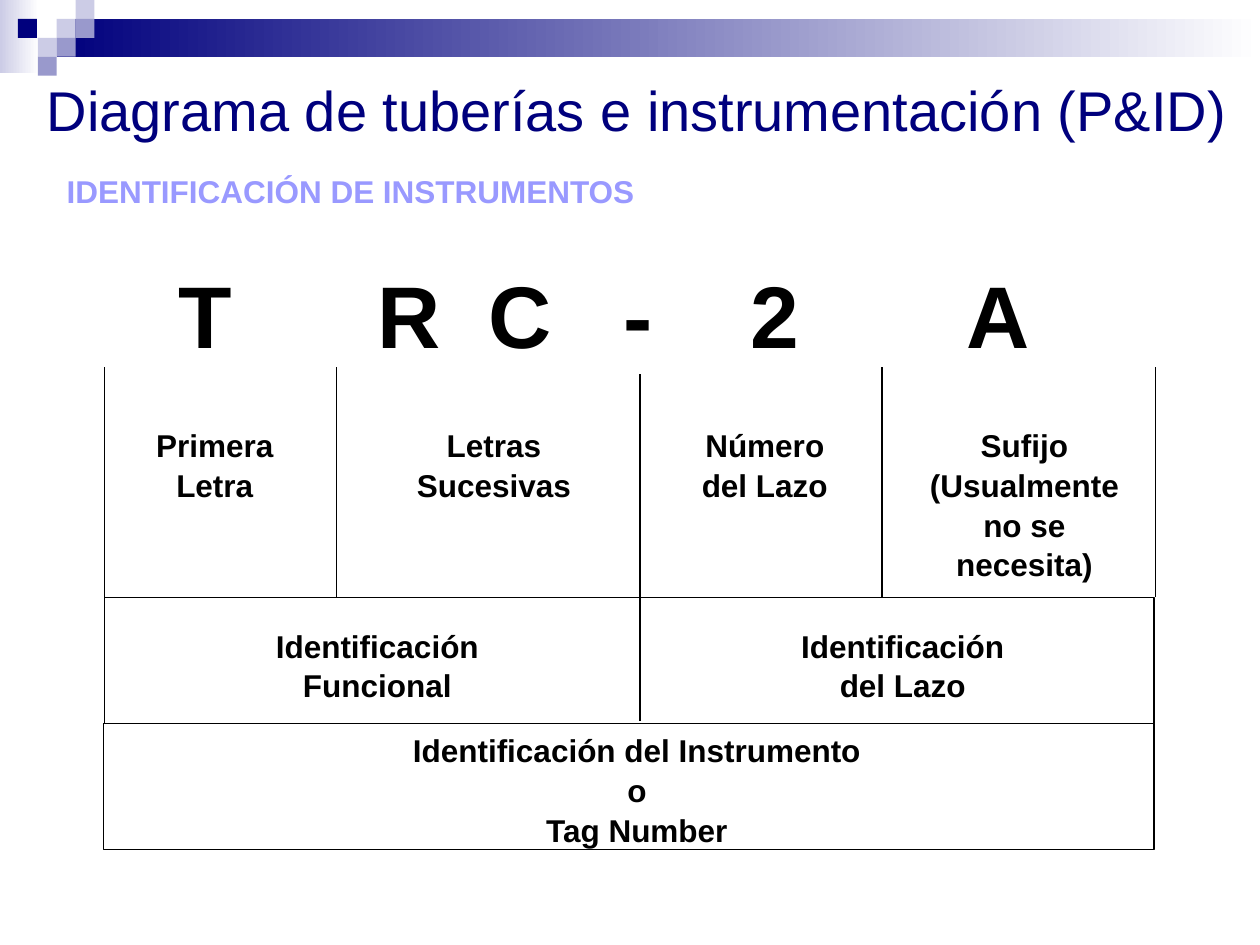
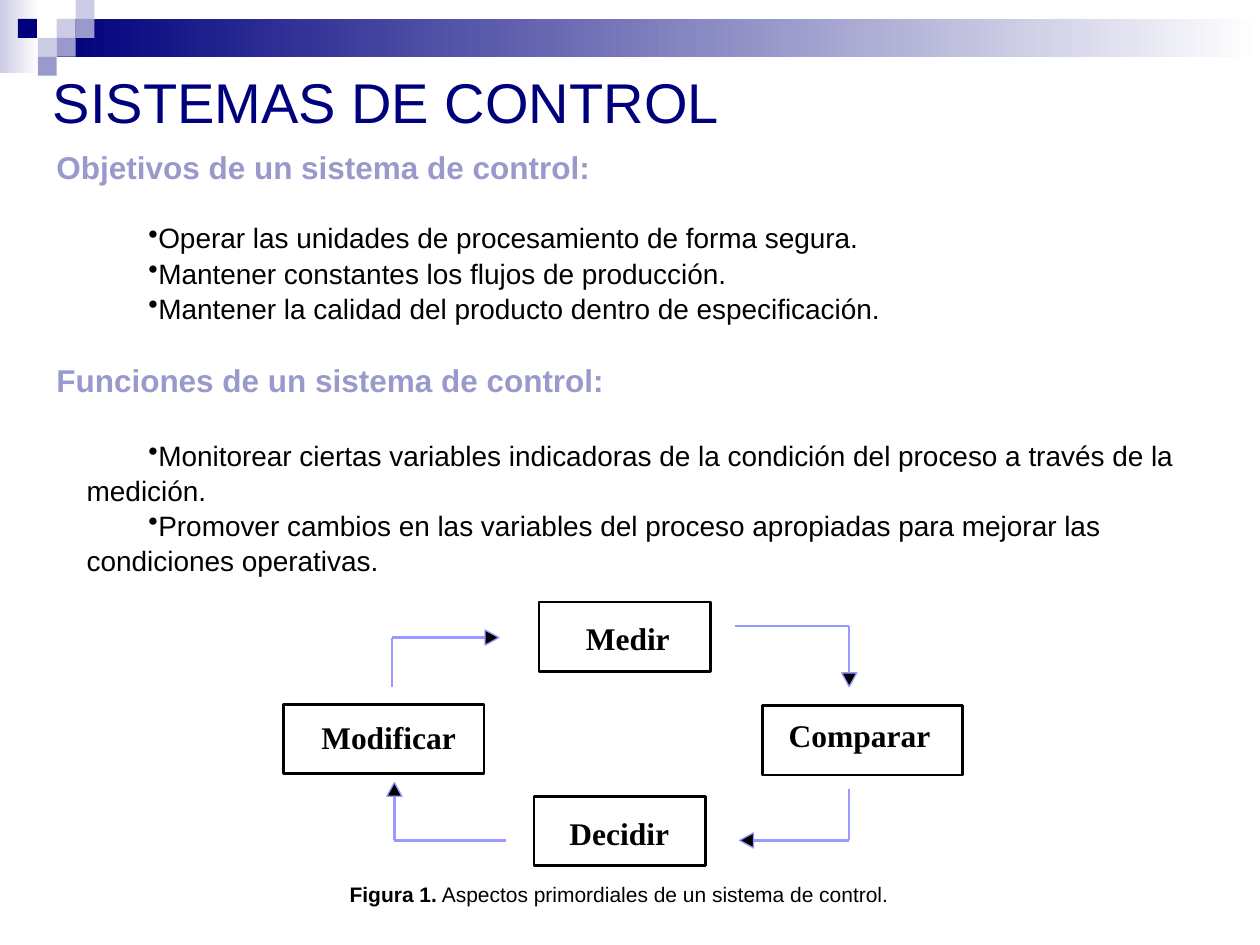
import pptx
import pptx.util
import pptx.dml.color
import pptx.enum.shapes
import pptx.enum.text
import pptx.oxml.ns
from lxml import etree

Inches = pptx.util.Inches
Pt = pptx.util.Pt
ALIGN = pptx.enum.text.PP_ALIGN
ANCHOR = pptx.enum.text.MSO_ANCHOR
RECT = pptx.enum.shapes.MSO_SHAPE.RECTANGLE

NAVY, MID, PALE = "00007D", "9999CC", "CCCCE6"
LILAC, BLACK, WHITE = "9999FF", "000000", "FFFFFF"
PAD = (0.1, 0.05, 0.1, 0.05)
HEAD = {"size": Pt(18), "bold": True}
BODY = {"size": Pt(16), "bold": False}


def color(code):
    return pptx.dml.color.RGBColor.from_string(code)


def put(item, values):
    for name, value in values.items():
        setattr(item, name, value)


def node(parent, tag, **values):
    return etree.SubElement(parent, pptx.oxml.ns.qn(tag), values)


# Text
def write(para, text, ink=BLACK, face="Arial", **style):
    run = para.add_run()
    run.text = text
    put(run.font, {"name": face, **style})
    run.font.color.rgb = color(ink)


def frame(shape, anchor=ANCHOR.TOP, wrap=True, pad=PAD):
    area = shape.text_frame
    put(area, {"auto_size": pptx.enum.text.MSO_AUTO_SIZE.NONE,
               "word_wrap": wrap, "vertical_anchor": anchor})
    sides = ("left", "top", "right", "bottom")
    put(area, {f"margin_{side}": Inches(gap) for side, gap in zip(sides, pad)})
    return area


def textbox(slide, box, **style):
    return frame(slide.shapes.add_textbox(*map(Inches, box)), **style)


def lines(area):
    """Yield the first paragraph, then new ones."""
    para = area.paragraphs[0]
    while True:
        para.line_spacing = 1.05
        yield para
        para = area.add_paragraph()


def label(slide, box, rows, wrap=False):
    for para, row in zip(lines(textbox(slide, box, wrap=wrap)), rows):
        para.alignment = ALIGN.CENTER
        write(para, row, **HEAD)


# Shapes
def rect(slide, box, fill=None, line=None, width=0.75):
    shape = slide.shapes.add_shape(RECT, *map(Inches, box))
    shape.shadow.inherit = False
    if isinstance(fill, tuple):
        shape.fill.gradient()
        shape.fill.gradient_angle = 0
        for stop, code in zip(shape.fill.gradient_stops, fill):
            stop.color.rgb = color(code)
    elif fill:
        shape.fill.solid()
        shape.fill.fore_color.rgb = color(fill)
    else:
        shape.fill.background()
    if line:
        shape.line.color.rgb = color(line)
        shape.line.width = Pt(width)
    else:
        shape.line.fill.background()
    return shape


def rule(slide, start, end, ink=BLACK, width=0.75):
    kind = pptx.enum.shapes.MSO_CONNECTOR.STRAIGHT
    line = slide.shapes.add_connector(kind, *map(Inches, start + end))
    line.line.color.rgb = color(ink)
    line.line.width = Pt(width)
    node(line._element.spPr, "a:effectLst")


def arrow(slide, start, bend, tip, widths):
    """Draw an elbow that ends in a triangle."""
    far = [b - a for a, b in zip(bend, tip)]
    size = sum(map(abs, far))
    dx, dy = (part / size for part in far)
    bx, by = tip[0] - 0.11 * dx, tip[1] - 0.11 * dy
    rule(slide, start, bend, LILAC, widths[0])
    rule(slide, bend, (bx, by), LILAC, widths[1])
    wx, wy = 0.06 * dy, 0.06 * dx
    path = slide.shapes.build_freeform(
        Inches(bx - wx), Inches(by - wy), scale=1.0)
    path.add_line_segments([(Inches(x), Inches(y)) for x, y in
                            (tip, (bx + wx, by + wy))], close=True)
    head = path.convert_to_shape()
    head.shadow.inherit = False
    head.fill.solid()
    head.fill.fore_color.rgb = color(BLACK)
    head.line.color.rgb = color(LILAC)
    head.line.width = Pt(0.75)


# Shared slide base: band, squares and title
def base(deck, title, box):
    slide = deck.slides.add_slide(deck.slide_layouts[5])
    rect(slide, (0, 0, 0.31, 0.58), (PALE, WHITE))
    rect(slide, (0.45, 0.15, 9.55, 0.3), (NAVY, WHITE))
    for col, row, fill in ((3, 1, PALE), (4, 0, PALE), (4, 1, MID),
                           (2, 2, PALE), (0.95, 1, NAVY), (3, 2, MID),
                           (2, 3, MID)):
        rect(slide, (col * 0.15, row * 0.15, 0.15, 0.15), fill)
    names = ("left", "top", "width", "height")
    put(slide.shapes.title, dict(zip(names, map(Inches, box))))
    para = frame(slide.shapes.title, ANCHOR.MIDDLE).paragraphs[0]
    para.alignment = ALIGN.LEFT
    write(para, title, NAVY, size=Pt(32))
    return slide


def tags(deck):
    slide = base(deck, "Diagrama de tuberías e instrumentación (P&ID)",
                 (0.27, 0.47, 9.58, 0.79))
    area = textbox(slide, (0.43, 1.31, 4.71, 0.4), anchor=ANCHOR.MIDDLE,
                   wrap=False)
    write(next(lines(area)), "IDENTIFICACIÓN DE INSTRUMENTOS", LILAC, **HEAD)

    # Tag letters on centred tab stops
    area = textbox(slide, (0.35, 1.66, 8.5, 1.61), anchor=ANCHOR.MIDDLE)
    para = next(lines(area))
    stops = node(para._p.get_or_add_pPr(), "a:tabLst")
    for pos in (1.18, 2.8, 3.68, 4.62, 5.7, 7.47):
        node(stops, "a:tab", pos=str(Inches(pos)), algn="ctr")
    write(para, "".join("\t" + sign for sign in "TRC-2A"),
          size=Pt(50), bold=True)

    # Labels of each part
    for box, rows in (
            ((1.14, 3.32, 1.13, 0.7), ("Primera", "Letra")),
            ((3.21, 3.32, 1.42, 0.7), ("Letras", "Sucesivas")),
            ((5.47, 3.32, 1.2, 0.7), ("Número", "del Lazo")),
            ((2.09, 4.91, 1.81, 0.7), ("Identificación", "Funcional")),
            ((6.26, 4.91, 1.81, 0.7), ("Identificación", "del Lazo")),
            ((3.18, 5.74, 3.75, 1),
             ("Identificación del Instrumento", "o", "Tag Number"))):
        label(slide, box, rows)
    label(slide, (7.17, 3.32, 1.92, 1.3),
          ("Sufijo", "(Usualmente no se necesita)"), wrap=True)

    # Frame and dividers
    rect(slide, (0.83, 4.74, 8.33, 1), line=BLACK)
    rect(slide, (0.82, 5.74, 8.34, 1), line=BLACK)
    for x in (0.83, 2.67, 7, 9.17):
        rule(slide, (x, 4.74), (x, 2.91))
    rule(slide, (5.08, 5.72), (5.08, 2.97))


def goals(deck):
    slide = base(deck, "SISTEMAS DE CONTROL", (0.32, 0.41, 9.5, 0.79))

    # Headings with their bullets
    parts = (
        ("Objetivos de un sistema de control:", 0, 19.3, (
            "Operar las unidades de procesamiento de forma segura.",
            "Mantener constantes los flujos de producción.",
            "Mantener la calidad del producto dentro de especificación.")),
        ("Funciones de un sistema de control:", 19.3, 21.7, (
            "Monitorear ciertas variables indicadoras de la condición del "
            "proceso a través de la medición.",
            "Promover cambios en las variables del proceso apropiadas para "
            "mejorar las condiciones operativas.")))
    area = textbox(slide, (0.35, 1.17, 9.26, 3.4), anchor=ANCHOR.MIDDLE)
    paras = lines(area)
    for head, above, below, items in parts:
        para = next(paras)
        para.space_before = Pt(above)
        write(para, head, MID, **HEAD)
        for spot, item in enumerate(items):
            para = next(paras)
            para.space_before = Pt(0 if spot else below)
            props = para._p.get_or_add_pPr()
            props.set("marL", str(Inches(0.24)))
            props.set("indent", str(Inches(0.49)))
            node(props, "a:buChar", char="•")
            write(para, item, **BODY)

    # Control cycle: boxes, then arrows between them
    for name, box, left, top in (
            ("Modificar", (2.25, 5.59, 1.59, 0.55), 0.3, 0.11),
            ("Medir", (4.28, 4.78, 1.36, 0.55), 0.37, 0.13),
            ("Comparar", (6.05, 5.6, 1.59, 0.55), 0.21, 0.08),
            ("Decidir", (4.24, 6.32, 1.36, 0.55), 0.28, 0.14)):
        shape = rect(slide, box, WHITE, BLACK, 1.39)
        para = frame(shape, wrap=True, pad=(left, top, 0, 0)).paragraphs[0]
        para.alignment = ALIGN.LEFT
        write(para, name, face="Times New Roman", **HEAD)
    thin, thick = 1.39, 2.13
    for start, bend, tip, widths in (
            ((5.83, 4.97), (6.74, 4.97), (6.74, 5.45), (thin, thin)),
            ((6.74, 6.26), (6.74, 6.67), (5.87, 6.67), (thin, thick)),
            ((4.02, 6.67), (3.13, 6.67), (3.13, 6.21), (thick, thin)),
            ((3.11, 5.45), (3.11, 5.06), (3.96, 5.06), (thin, thin))):
        arrow(slide, start, bend, tip, widths)

    # Caption
    area = textbox(slide, (2.65, 6.94, 4.53, 0.3), anchor=ANCHOR.MIDDLE,
                   wrap=False)
    para = next(lines(area))
    para.alignment = ALIGN.CENTER
    write(para, "Figura 1.", size=Pt(12), bold=True)
    write(para, " Aspectos primordiales de un sistema de control.",
          size=Pt(12), bold=False)


def main():
    deck = pptx.Presentation()
    put(deck, {"slide_width": Inches(10), "slide_height": Inches(7.5)})
    tags(deck)
    goals(deck)
    deck.save("out.pptx")


if __name__ == "__main__":
    main()
